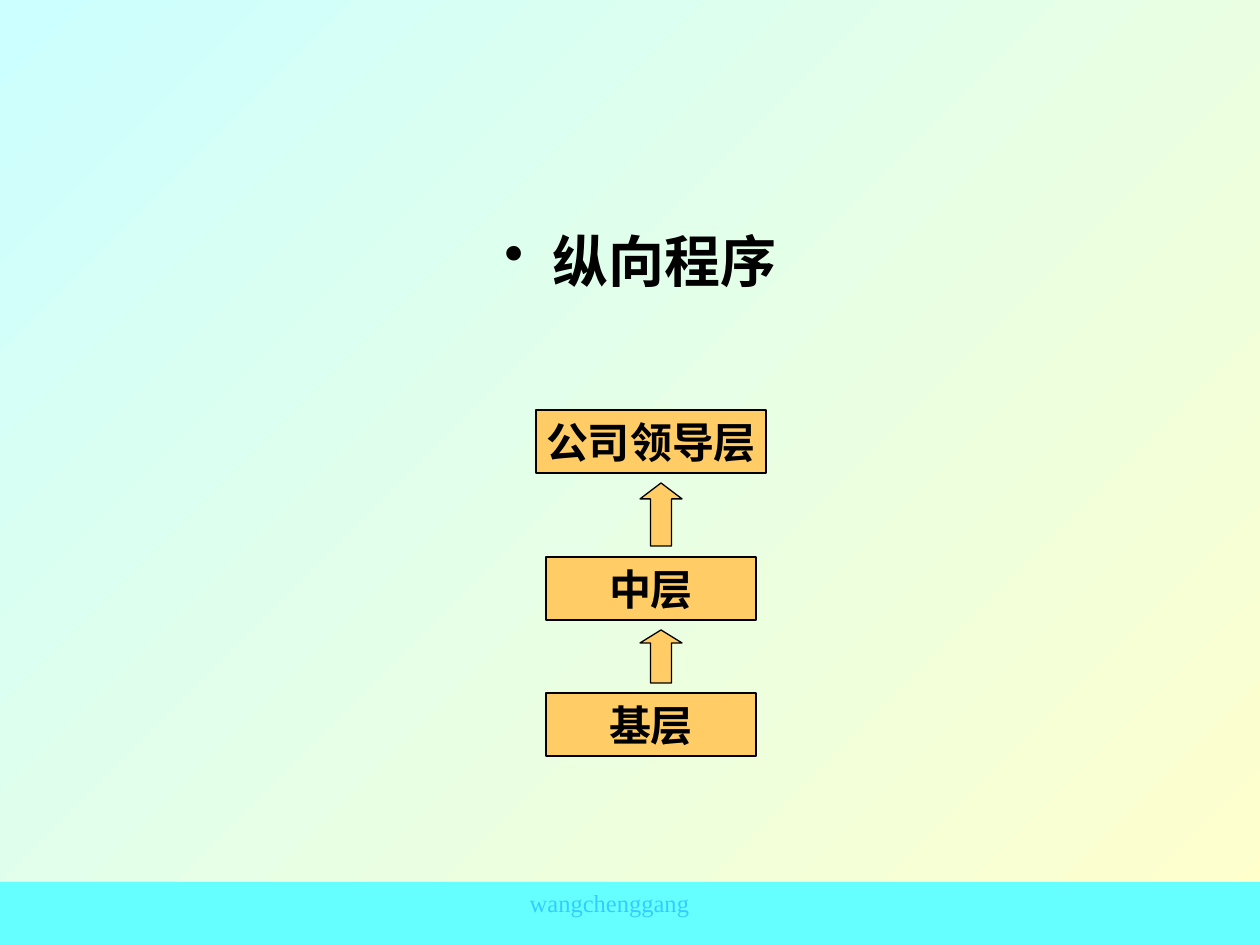
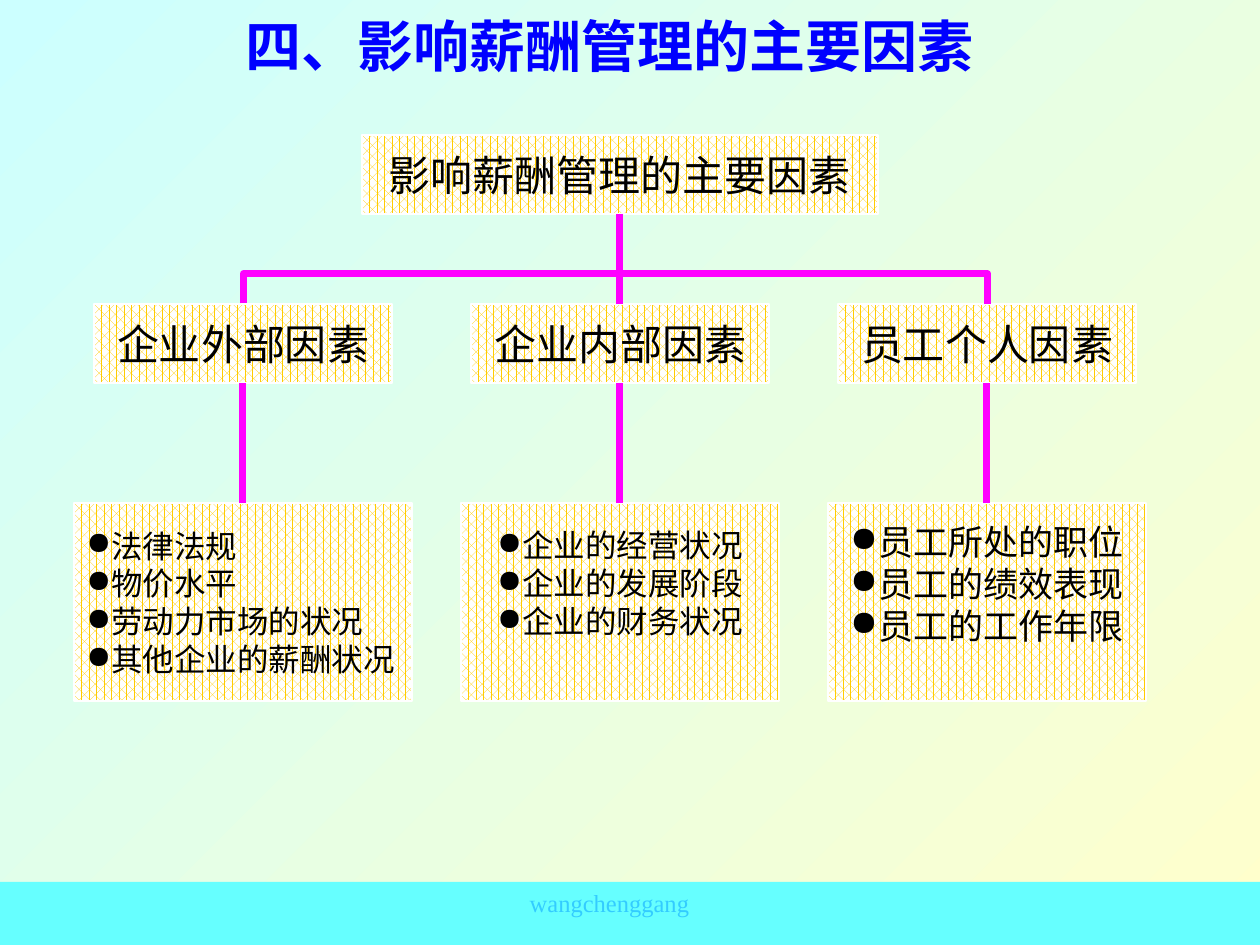
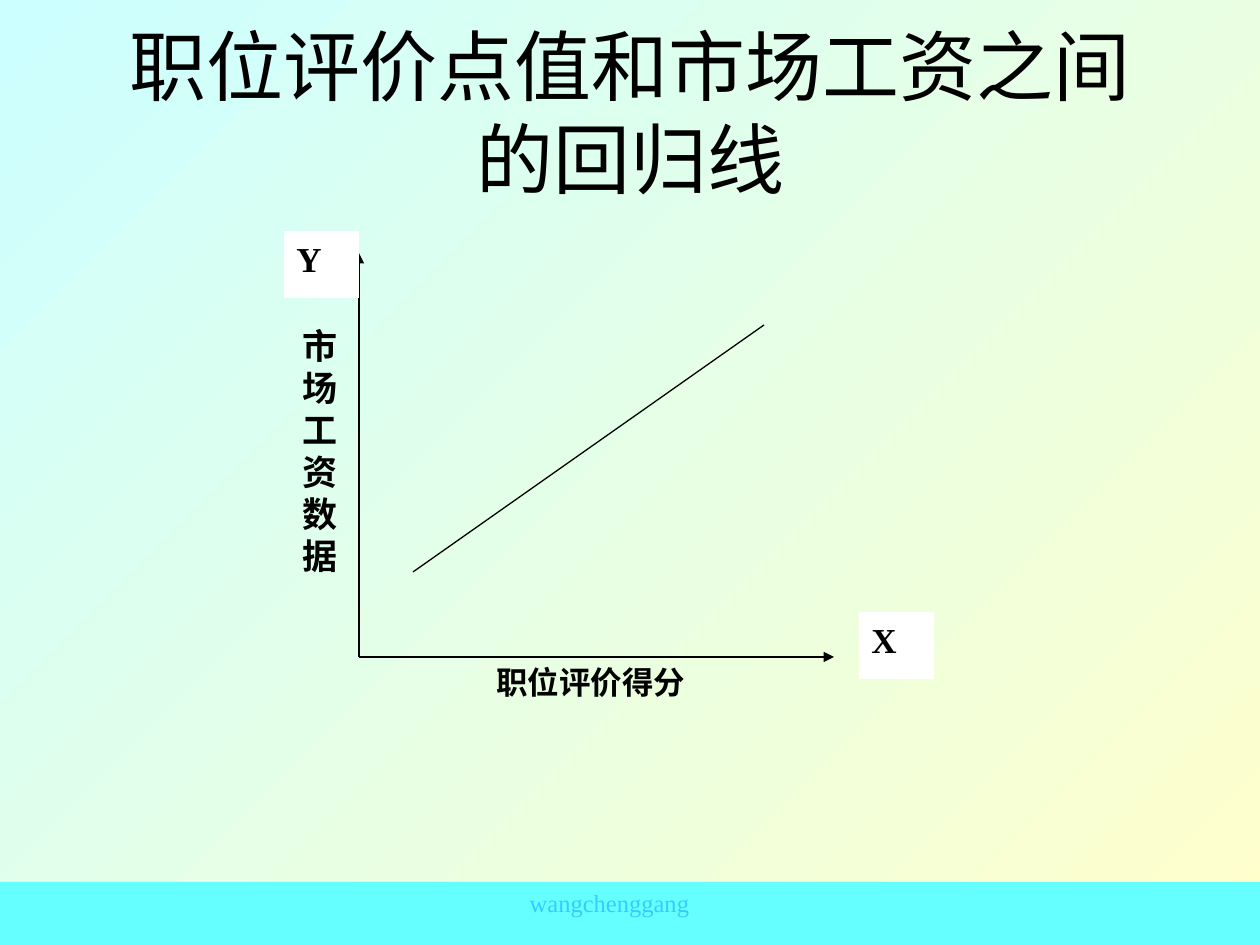
from lxml import etree
from pptx import Presentation
from pptx import util as u
from pptx.dml.color import RGBColor
from pptx.enum import dml, shapes, text
from pptx.oxml.ns import qn

PX = 914400 / 126
FONT = "Times New Roman"
COLORS = {
    "sky": "CCFFFF", "cream": "FFFFCC", "band": "66FFFF", "footer": "33CCFF",
    "black": "000000", "white": "FFFFFF", "title": "0000FF",
    "level": "FFCC66", "weave": "FFCC00", "link": "FF00FF",
}
RECT = shapes.MSO_SHAPE.RECTANGLE
CENTER = text.PP_ALIGN.CENTER
JUSTIFY = text.PP_ALIGN.JUSTIFY
MIDDLE = text.MSO_ANCHOR.MIDDLE


def px(n):
    return u.Emu(round(n * PX))


def rgb(name):
    return RGBColor.from_string(COLORS[name])


def set_bullet(p, char, indent):
    pPr = p._p.get_or_add_pPr()
    pPr.set("marL", str(px(indent)))
    pPr.set("indent", str(-px(indent)))
    etree.SubElement(pPr, qn("a:buChar")).set("char", char)


def write(sp, lines, size, color="black", bold=False, font=FONT, align=CENTER,
          anchor=text.MSO_ANCHOR.TOP, wrap=True, bullet=None, indent=0):
    tf = sp.text_frame
    tf.word_wrap = wrap
    tf.vertical_anchor = anchor
    for i, line in enumerate(lines):
        p = tf.add_paragraph() if i else tf.paragraphs[0]
        p.alignment = align
        if bullet:
            set_bullet(p, bullet, indent)
        r = p.add_run()
        r.text = line
        for key, value in {"name": font, "size": u.Pt(size), "bold": bold}.items():
            setattr(r.font, key, value)
        r.font.color.rgb = rgb(color)


def add_label(s, box, line, size, **fmt):
    sp = s.shapes.add_textbox(*map(px, box))
    write(sp, [line], size, **fmt)


def add_block(s, box, fill, line=None, kind=RECT, width=0.75):
    sp = s.shapes.add_shape(kind, *map(px, box))
    sp.shadow.inherit = False
    sp.fill.solid()
    sp.fill.fore_color.rgb = rgb(fill)
    if line:
        sp.line.color.rgb = rgb(line)
        sp.line.width = u.Pt(width)
    else:
        sp.line.fill.background()
    return sp


def add_woven(s, cx, top, width, height, lines, size=24, **fmt):
    sp = add_block(s, (cx - width // 2, top, width, height), "white", "white", width=1)
    sp.fill.patterned()
    sp.fill.pattern = dml.MSO_PATTERN.PERCENT_60
    sp.fill.fore_color.rgb = rgb("weave")
    sp.fill.back_color.rgb = rgb("white")
    write(sp, lines, size, anchor=MIDDLE, wrap=False, **fmt)
    return sp


def add_line(s, ends, color, width, kind=shapes.MSO_CONNECTOR.STRAIGHT, arrow=False):
    cx = s.shapes.add_connector(kind, *map(px, ends))
    cx.line.color.rgb = rgb(color)
    cx.line.width = u.Pt(width)
    if arrow:
        etree.SubElement(cx.line._get_or_add_ln(), qn("a:tailEnd")).set("type", "triangle")
    etree.SubElement(cx._element.spPr, qn("a:effectLst"))
    return cx


def add_link(s, upper, lower):
    cx = add_line(s, (0, 0, 0, 0), "link", 4)
    cx.begin_connect(upper, 2)
    cx.end_connect(lower, 0)


def add_bracket(s, left, right, bottom, rise):
    mid, half = (left + right) // 2, (right - left) // 2
    cx = add_line(s, (mid, bottom - half, mid + 1, bottom + half), "link", 4,
                  shapes.MSO_CONNECTOR.ELBOW)
    xfrm = cx._element.spPr.find(qn("a:xfrm"))
    xfrm.set("rot", "5400000")
    xfrm.set("flipV", "1")
    geom = cx._element.spPr.find(qn("a:prstGeom"))
    guides = geom.find(qn("a:avLst"))
    if guides is None:
        guides = etree.SubElement(geom, qn("a:avLst"))
    gd = etree.SubElement(guides, qn("a:gd"))
    gd.set("name", "adj1")
    gd.set("fmla", f"val {-rise * 100000}")


def set_background(prs):
    fill = prs.slide_master.background.fill
    fill.gradient()
    fill.gradient_angle = 315
    for stop, name in zip(fill.gradient_stops, ("sky", "cream")):
        stop.color.rgb = rgb(name)


def new_slide(prs):
    s = prs.slides.add_slide(prs.slide_layouts[6])
    add_block(s, (0, 882, 1260, 63), "band")
    add_label(s, (410, 882, 399, 42), "wangchenggang", 14, color="footer")
    return s


def build_levels(prs):
    s = new_slide(prs)
    add_label(s, (105, 220, 1071, 525), "纵向程序", 32, bold=True,
              font="Noto Sans CJK SC", bullet="•", indent=48)
    for name, top, width in (("基层", 693, 210), ("中层", 557, 210), ("公司领导层", 410, 230)):
        sp = add_block(s, (651 - width // 2, top, width, 63), "level", "black")
        write(sp, [name], 24, bold=True, anchor=MIDDLE, wrap=False)
    for top, height, head in ((630, 53, 0.31), (483, 63, 0.38)):
        sp = add_block(s, (640, top, 42, height), "level", "black", shapes.MSO_SHAPE.UP_ARROW)
        sp.adjustments[1] = head


def build_factors(prs):
    s = new_slide(prs)
    add_label(s, (74, -34, 1071, 158), "四、影响薪酬管理的主要因素", 32,
              color="title", bold=True, anchor=MIDDLE)
    root = add_woven(s, 620, 135, 516, 79, ["影响薪酬管理的主要因素"])
    columns = (
        (243, "企业外部因素", 338, 18, text.PP_ALIGN.LEFT, 0,
         ["法律法规", "物价水平", "劳动力市场的状况", "其他企业的薪酬状况"]),
        (620, "企业内部因素", 318, 18, CENTER, 38,
         ["企业的经营状况", "企业的发展阶段", "企业的财务状况"]),
        (987, "员工个人因素", 318, 20, CENTER, 38,
         ["员工所处的职位", "员工的绩效表现", "员工的工作年限"]),
    )
    heads = []
    for cx, name, width, size, align, lift, items in columns:
        head = add_woven(s, cx, 304, 298, 79, [name])
        detail = add_woven(s, cx, 503, width, 198, items, size, align=align, bullet="●")
        detail.text_frame.margin_bottom = px(6 + lift)
        add_link(s, head, detail)
        heads.append(head)
    add_bracket(s, columns[0][0], columns[-1][0], 304, 30)
    add_link(s, root, heads[1])


def build_regression(prs):
    s = new_slide(prs)
    add_label(s, (95, 32, 1071, 158), "职位评价点值和市场工资之间的回归线", 44, anchor=MIDDLE)
    add_line(s, (413, 572, 764, 325), "black", 0.75)
    for end in ((834, 657), (359, 253)):
        add_line(s, (359, 657, *end), "black", 0.75, arrow=True)
    for name, left, top in (("X", 859, 612), ("Y", 284, 231)):
        sp = add_block(s, (left, top, 75, 67), "white")
        write(sp, [name], 20, bold=True, align=JUSTIFY)
    add_label(s, (484, 657, 251, 67), "职位评价得分", 18, bold=True, align=JUSTIFY)
    add_label(s, (290, 318, 75, 291), "市场工资数据", 20, bold=True, align=JUSTIFY)


def main():
    prs = Presentation()
    prs.slide_width, prs.slide_height = px(1260), px(945)
    set_background(prs)
    build_levels(prs)
    build_factors(prs)
    build_regression(prs)
    prs.save("out.pptx")


if __name__ == "__main__":
    main()
